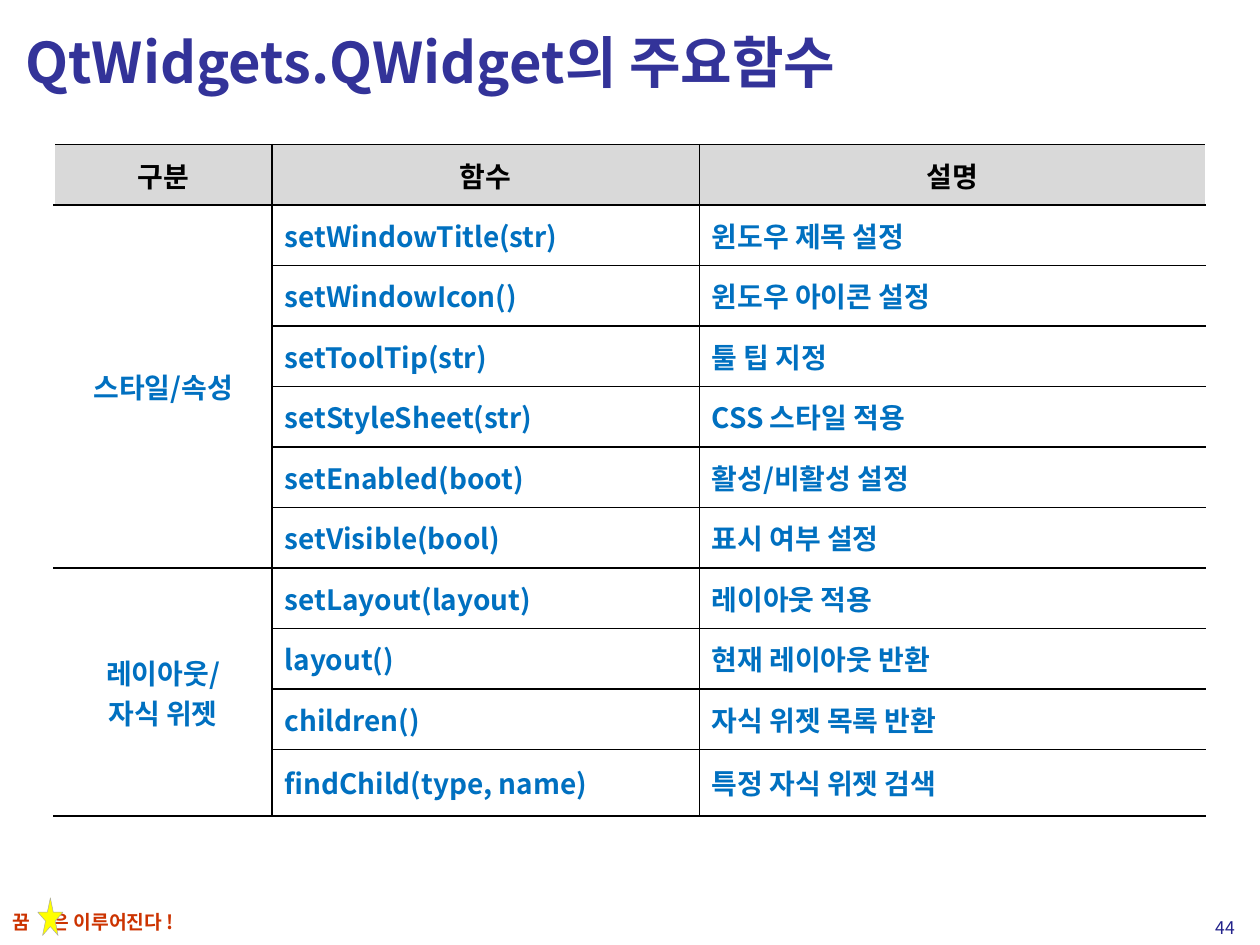
from lxml.etree import SubElement
from pptx import Presentation
from pptx.dml.color import RGBColor as Rgb
from pptx.enum.shapes import MSO_SHAPE as Shape
from pptx.enum.text import MSO_ANCHOR as Anchor, MSO_AUTO_SIZE as Auto, PP_ALIGN as Align
from pptx.oxml.ns import qn
from pptx.util import Inches, Pt

FONT = "Noto Sans CJK KR"
HUES = {"title": "333399", "body": "0070C0", "ink": "000000", "head": "D9D9D9",
        "paper": "FFFFFF", "motto": "CC3300", "star": "FFFF00", "edge": "A6A6A6",
        "page": "22228B"}

HEADS = ["구분", "함수", "설명"]
GROUPS = [
    ("스타일/속성", [
        ("setWindowTitle(str)", "윈도우 제목 설정"),
        ("setWindowIcon()", "윈도우 아이콘 설정"),
        ("setToolTip(str)", "툴 팁 지정"),
        ("setStyleSheet(str)", "CSS 스타일 적용"),
        ("setEnabled(boot)", "활성/비활성 설정"),
        ("setVisible(bool)", "표시 여부 설정"),
    ]),
    ("레이아웃/\n자식 위젯", [
        ("setLayout(layout)", "레이아웃 적용"),
        ("layout()", "현재 레이아웃 반환"),
        ("children()", "자식 위젯 목록 반환"),
        ("findChild(type, name)", "특정 자식 위젯 검색"),
    ]),
]
COLS = [1.73, 3.39, 4.02]
ROW, LAST = 0.48, 0.53


def write(frame, text, size=16, hue="body", bold=True, align=Align.LEFT, tab=None):
    """Fill a text frame, one paragraph per line of text."""
    for i, line in enumerate(text.split("\n")):
        para = frame.paragraphs[0] if i == 0 else frame.add_paragraph()
        para.alignment = align
        para.space_before = Pt(0)
        if tab:
            stops = SubElement(para._p.get_or_add_pPr(), qn("a:tabLst"))
            SubElement(stops, qn("a:tab"), pos=str(Inches(tab)), algn="l")
        run = para.add_run()
        run.text = line
        font = run.font
        font.size, font.bold, font.name = Pt(size), bold, FONT
        font.color.rgb = Rgb.from_string(HUES[hue])
        SubElement(run._r.get_or_add_rPr(), qn("a:ea"), typeface=FONT)


class Deck:
    """Holds the style and the current slide; places are shares of its size."""

    def __init__(self, wide, high):
        self.show = Presentation()
        self.show.slide_width, self.show.slide_height = Inches(wide), Inches(high)
        self.wide, self.high = wide, high
        self.slide = self.show.slides.add_slide(self.show.slide_layouts[5])

    def place(self, x, y, w, h):
        return [Inches(x * self.wide), Inches(y * self.high),
                Inches(w * self.wide), Inches(h * self.high)]

    def title(self, text, *box):
        shape = self.slide.shapes.title
        shape.left, shape.top, shape.width, shape.height = self.place(*box)
        frame = shape.text_frame
        frame.auto_size, frame.vertical_anchor = Auto.NONE, Anchor.MIDDLE
        write(frame, text, size=32, hue="title")

    def label(self, text, *box, anchor=Anchor.TOP, **style):
        frame = self.slide.shapes.add_textbox(*self.place(*box)).text_frame
        frame.word_wrap, frame.vertical_anchor = True, anchor
        write(frame, text, **style)

    def star(self, *box):
        shape = self.slide.shapes.add_shape(Shape.STAR_5_POINT, *self.place(*box))
        shape.shadow.inherit = False
        shape.fill.solid()
        shape.fill.fore_color.rgb = Rgb.from_string(HUES["star"])
        shape.line.color.rgb = Rgb.from_string(HUES["edge"])
        shape.line.width = Pt(0.25)

    def cell(self, grid, row, col, text=None, fill="paper", **style):
        cell = grid.cell(row, col)
        cell.vertical_anchor = Anchor.MIDDLE
        # Borders come before the fill; the outer sides are white
        props = cell._tc.get_or_add_tcPr()
        sides = {"L": "paper" if col == 0 else "ink",
                 "R": "paper" if col == len(COLS) - 1 else "ink",
                 "T": "ink", "B": "ink"}
        for side, hue in sides.items():
            line = SubElement(props, qn("a:ln" + side), w=str(Pt(1)))
            paint = SubElement(line, qn("a:solidFill"))
            SubElement(paint, qn("a:srgbClr"), val=HUES[hue])
        cell.fill.solid()
        cell.fill.fore_color.rgb = Rgb.from_string(HUES[fill])
        if text:
            write(cell.text_frame, text, **style)

    def table(self, heads, groups, *box):
        count = 1 + sum(len(items) for _, items in groups)
        grid = self.slide.shapes.add_table(count, len(heads), *self.place(*box)).table
        for col, wide in zip(grid.columns, COLS):
            col.width = Inches(wide)
        for i, row in enumerate(grid.rows):
            row.height = Inches(LAST if i == count - 1 else ROW)
        for col, head in enumerate(heads):
            self.cell(grid, 0, col, head, "head", hue="ink", align=Align.CENTER)
        top = 1
        for name, items in groups:
            for row, (func, note) in enumerate(items, top):
                self.cell(grid, row, 0, name if row == top else None, align=Align.CENTER)
                self.cell(grid, row, 1, func)
                self.cell(grid, row, 2, note)
            grid.cell(top, 0).merge(grid.cell(top + len(items) - 1, 0))
            top += len(items)


def main():
    deck = Deck(10, 7.5)
    # Footer motto and star
    deck.label("꿈\t은 이루어진다 !", 0, 0.957, 0.52, 0.04, size=11, hue="motto", tab=0.31)
    deck.star(0.03, 0.95, 0.02, 0.04)
    # Heading
    deck.title("QtWidgets.QWidget의 주요함수", 0.01, 0.01, 0.98, 0.11)
    # Page number
    deck.label("44", 0.93, 0.956, 0.06, 0.05, anchor=Anchor.MIDDLE,
               size=10, hue="page", bold=False, align=Align.RIGHT)
    # Function table
    deck.table(HEADS, GROUPS, 0.043, 0.153, 0.91, 0.71)
    deck.show.save("out.pptx")


if __name__ == "__main__":
    main()
